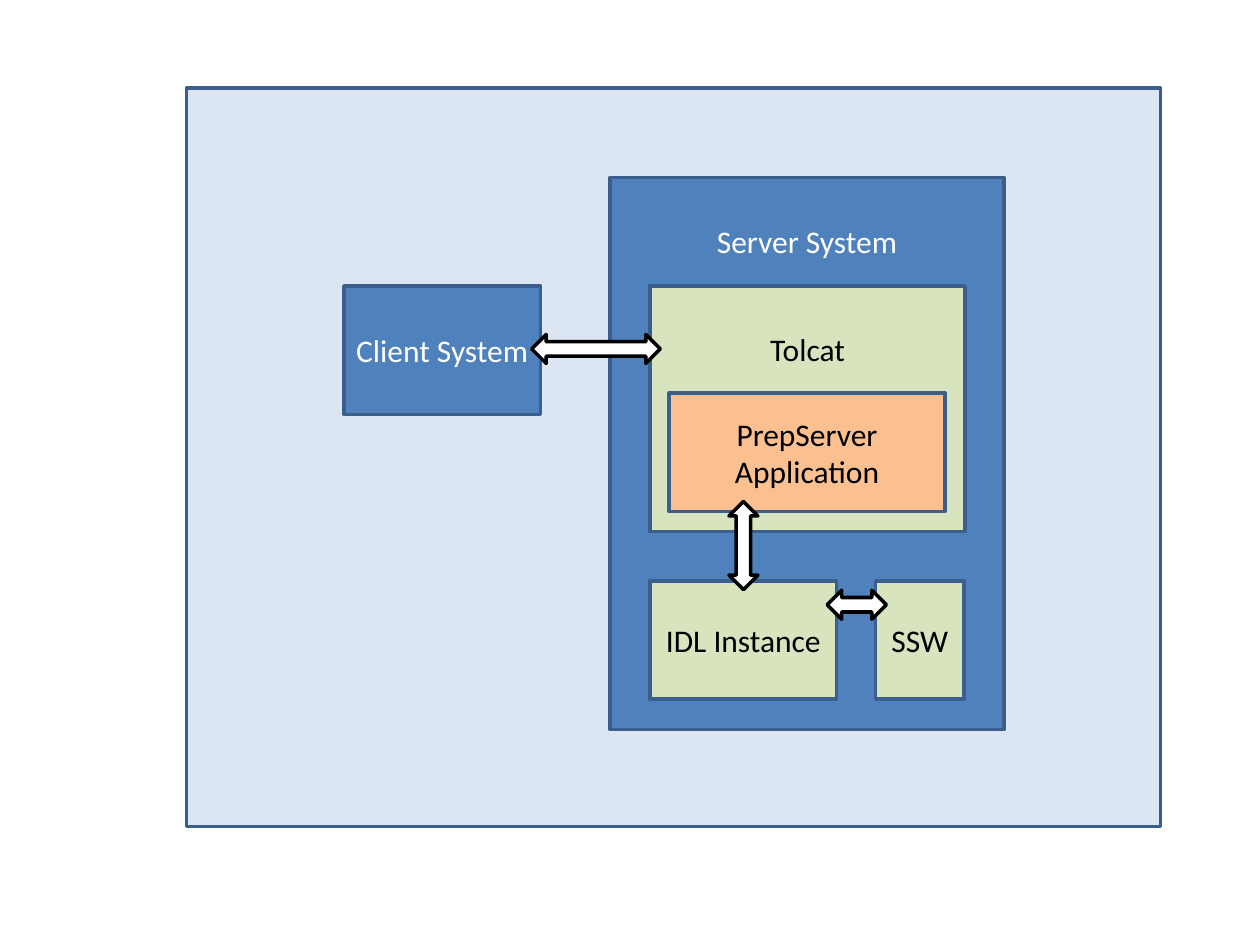
from pptx import Presentation
from pptx.dml.color import RGBColor
from pptx.enum.shapes import MSO_SHAPE
from pptx.enum.text import MSO_ANCHOR, PP_ALIGN
from pptx.util import Inches, Pt

COLORS = {
    "panel": "DCE6F2", "system": "4F81BD", "service": "D7E4BD",
    "application": "FAC090", "border": "3A5F8C",
    "white": "FFFFFF", "black": "000000",
}


def rgb(name):
    return RGBColor.from_string(COLORS[name])


def add_shape(slide, kind, box, fill, line):
    shape = slide.shapes.add_shape(kind, *[Inches(v) for v in box])
    shape.shadow.inherit = False
    shape.fill.solid()
    shape.fill.fore_color.rgb = rgb(fill)
    shape.line.color.rgb = rgb(line)
    shape.line.width = Pt(2)
    return shape


def add_block(slide, box, fill, text="", color="black", heading=False):
    """Bordered box; a heading sits near the top, other text in the middle."""
    block = add_shape(slide, MSO_SHAPE.RECTANGLE, box, fill, "border")
    if not text:
        return
    frame = block.text_frame
    frame.word_wrap = True
    frame.margin_left = frame.margin_right = Inches(0.05)
    frame.vertical_anchor = MSO_ANCHOR.TOP if heading else MSO_ANCHOR.MIDDLE
    if heading:
        frame.margin_top = Inches(0.35)
    paragraph = frame.paragraphs[0]
    paragraph.alignment = PP_ALIGN.CENTER
    run = paragraph.add_run()
    run.text = text
    run.font.name = "Calibri"
    run.font.size = Pt(18)
    run.font.color.rgb = rgb(color)


def add_link(slide, center_x, center_y, length, rotation=0):
    """Double-headed arrow around a center point."""
    thickness = 0.23
    box = (center_x - length / 2, center_y - thickness / 2, length, thickness)
    arrow = add_shape(slide, MSO_SHAPE.LEFT_RIGHT_ARROW, box, "white", "black")
    arrow.rotation = rotation


def add_server(slide, left, top, width, height):
    add_block(slide, (left, top, width, height), "system", "Server System",
              "white", heading=True)
    inner = left + 0.32
    # Web container and backend services
    add_block(slide, (inner, top + 0.86, 2.5, 1.95), "service", "Tolcat",
              heading=True)
    add_block(slide, (inner, top + 3.2, 1.48, 0.94), "service", "IDL Instance")
    add_block(slide, (inner + 1.79, top + 3.2, 0.7, 0.94), "service", "SSW")
    # Application inside the container
    add_block(slide, (inner + 0.15, top + 1.71, 2.19, 0.94), "application",
              "PrepServer Application")
    # Links between the services
    add_link(slide, inner + 1.64, top + 3.39, 0.47)
    add_link(slide, inner + 0.74, top + 2.92, 0.7, rotation=90)


def add_architecture(slide, left, top, width, height):
    add_block(slide, (left, top, width, height), "panel")
    add_block(slide, (left + 1.25, top + 1.57, 1.56, 1.02), "system",
              "Client System", "white")
    add_server(slide, left + 3.36, top + 0.71, 3.13, 4.38)
    # Client to web container
    add_link(slide, left + 3.25, top + 2.07, 1.02)


prs = Presentation()
prs.slide_width, prs.slide_height = Inches(10), Inches(7.5)
diagram = prs.slides.add_slide(prs.slide_layouts[6])
add_architecture(diagram, 1.48, 0.7, 7.73, 5.86)
prs.save("out.pptx")
